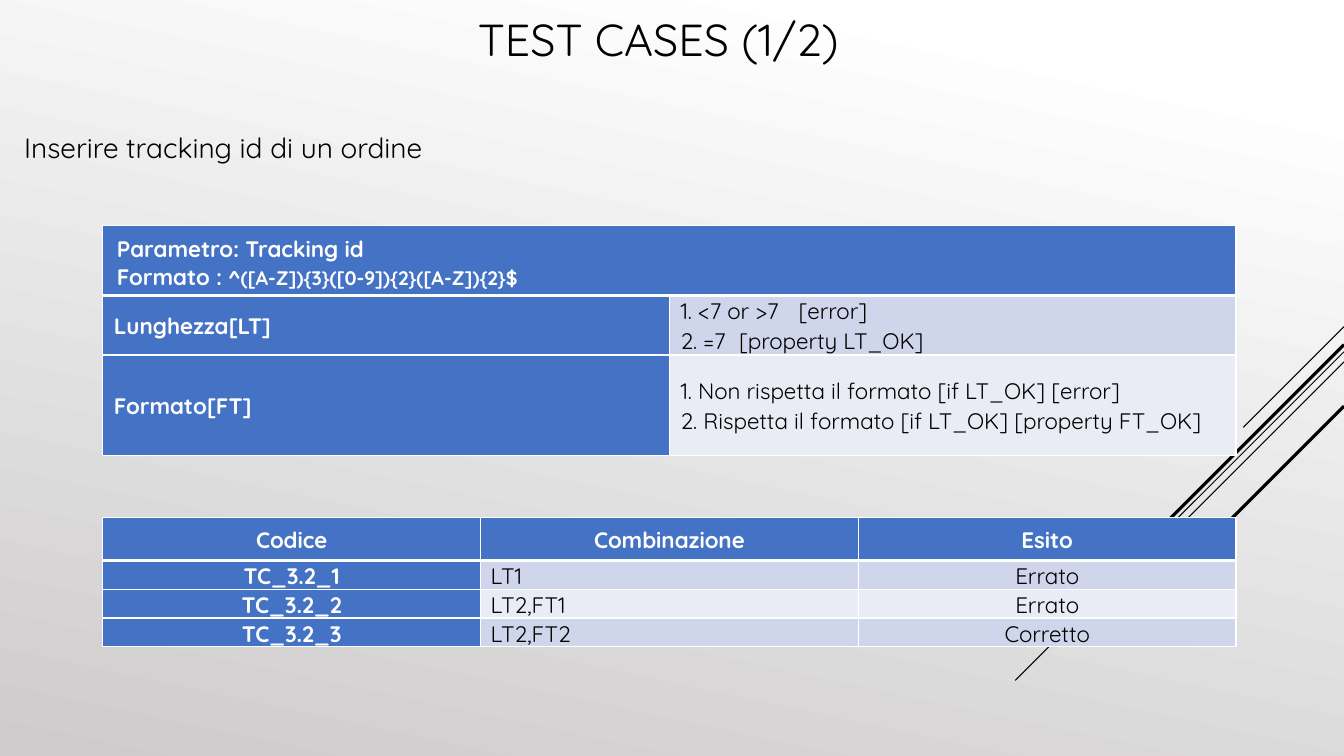
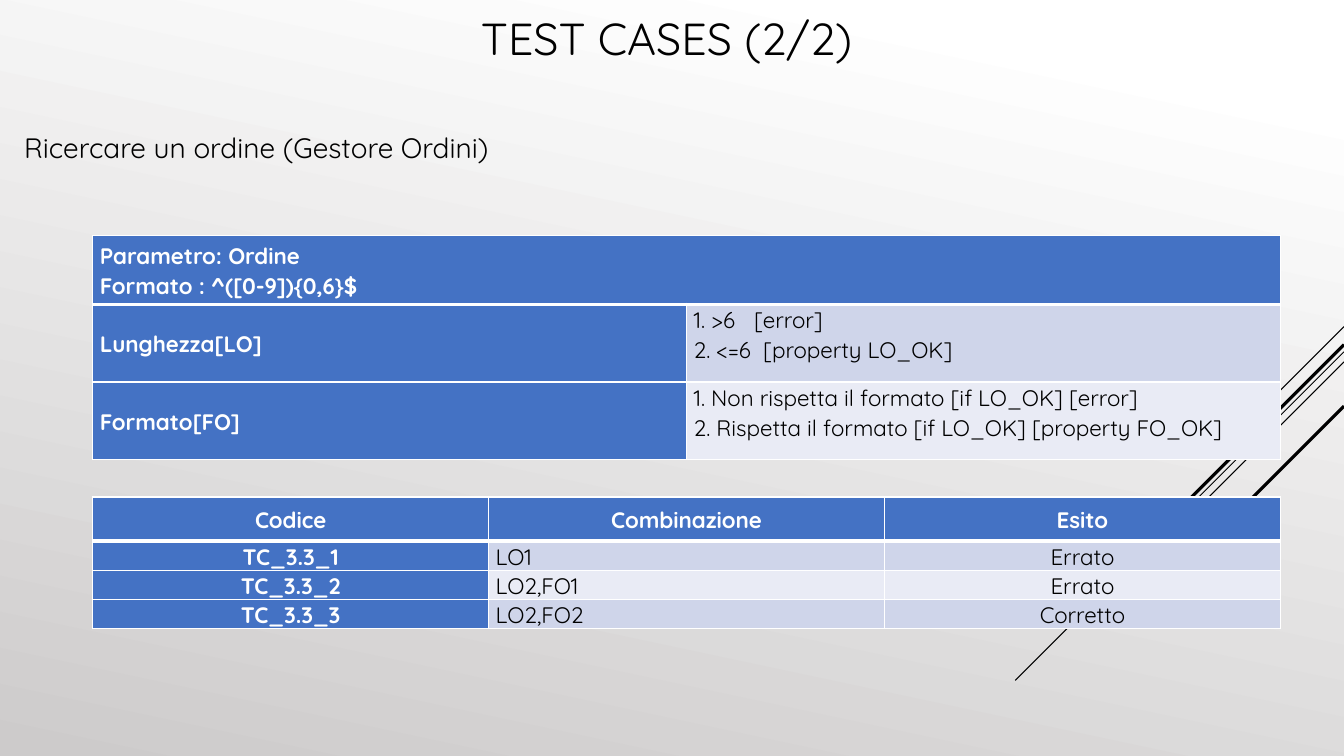
from dataclasses import dataclass

from lxml import etree
from pptx import Presentation
from pptx import util as u
from pptx.dml.color import RGBColor
from pptx.enum import shapes, text
from pptx.oxml import ns

WIDTH, HEIGHT = 13.33, 7.5
FONT = "Quicksand"
BODY_SIZE = 16
COLORS = {
    "ink": "000000",
    "white": "FFFFFF",
    "shade": "CDCBCB",
    "blue": "4472C4",
    "band_dark": "CFD5EA",
    "band_light": "E9EBF5",
}
# Diagonals: distance of the start from the top, length along each axis, points
DIAGONALS = [
    (3.24, 1, 0.75),
    (3.49, 3.26, 0.75),
    (3.59, 2.07, 0.75),
    (3.42, 1.91, 2.25),
    (4.03, 1.39, 2.25),
]
CENTER, LEFT = text.PP_ALIGN.CENTER, text.PP_ALIGN.LEFT
MIDDLE, TOP = text.MSO_ANCHOR.MIDDLE, text.MSO_ANCHOR.TOP


@dataclass
class Line:
    """One paragraph: a tab stop in inches and a smaller tail are optional."""
    text: str
    tab: float = 0
    tail: str = ""
    spacing: float = 1.07


@dataclass
class Frame:
    """Place and cell margins of a table, in inches."""
    left: float
    top: float
    width: float
    rows: list
    margin: float


def rgb(name):
    return RGBColor.from_string(COLORS[name])


def set_font(font, size, color="ink", bold=False):
    font.name, font.size, font.bold = FONT, u.Pt(size), bold
    font.color.rgb = rgb(color)


def add_child(parent, tag, **attributes):
    return etree.SubElement(parent, ns.qn(tag), attributes)


def set_background(master):
    fill = master.background.fill
    fill.gradient()
    fill.gradient_angle = 258
    for stop, color, position in zip(fill.gradient_stops, ("white", "shade"), (0.1, 1)):
        stop.color.rgb = rgb(color)
        stop.position = position


def add_diagonals(slide):
    for top, length, weight in DIAGONALS:
        ends = (WIDTH, top, WIDTH - length, top + length)
        line = slide.shapes.add_connector(
            shapes.MSO_CONNECTOR.STRAIGHT, *map(u.Inches, ends))
        line.line.color.rgb = rgb("ink")
        line.line.width = u.Pt(weight)
        add_child(line.element.spPr, "a:effectLst")


def set_title(slide, title, left, top, height):
    shape = slide.shapes.title
    shape.left, shape.top = u.Inches(left), u.Inches(top)
    shape.width, shape.height = u.Inches(4), u.Inches(height)
    frame = shape.text_frame
    frame.text = title
    frame.auto_size = text.MSO_AUTO_SIZE.NONE
    frame.vertical_anchor = MIDDLE
    paragraph = frame.paragraphs[0]
    paragraph.alignment = LEFT
    set_font(paragraph.font, 32)


def add_subtitle(slide, subtitle, width):
    box = slide.shapes.add_textbox(*map(u.Inches, (0.14, 1.27, width, 0.36)))
    frame = box.text_frame
    frame.word_wrap = True
    frame.auto_size = text.MSO_AUTO_SIZE.SHAPE_TO_FIT_TEXT
    frame.vertical_anchor = MIDDLE
    frame.margin_top, frame.margin_bottom = u.Inches(0.03), 0
    frame.text = subtitle
    set_font(frame.paragraphs[0].font, 20)


def set_borders(cell, is_header, below_header):
    weights = {
        "a:lnL": 1,
        "a:lnR": 1,
        "a:lnT": 3 if below_header else 1,
        "a:lnB": 3 if is_header else 1,
    }
    properties = cell._tc.get_or_add_tcPr()
    for tag, weight in weights.items():
        border = add_child(properties, tag, w=str(u.Pt(weight)))
        add_child(add_child(border, "a:solidFill"), "a:srgbClr", val=COLORS["white"])


def add_table(slide, frame, columns):
    """Add a table with a blue header row and first column, and banded rows."""
    left, top, width, height = map(
        u.Inches, (frame.left, frame.top, frame.width, sum(frame.rows)))
    table = slide.shapes.add_table(
        len(frame.rows), columns, left, top, width, height).table
    for column in table.columns:
        column.width = u.Inches(frame.width / columns)
    for row, height in zip(table.rows, frame.rows):
        row.height = u.Inches(height)
    for row_index, row in enumerate(table.rows):
        for column_index, cell in enumerate(row.cells):
            set_borders(cell, row_index == 0, row_index == 1)
            if row_index == 0 or column_index == 0:
                color = "blue"
            else:
                color = "band_dark" if row_index % 2 else "band_light"
            cell.fill.solid()
            cell.fill.fore_color.rgb = rgb(color)
    return table


def write_cell(cell, lines, margin, heading, align=LEFT, anchor=MIDDLE, margin_y=0):
    cell.margin_left = cell.margin_right = u.Inches(margin)
    cell.margin_top = cell.margin_bottom = u.Inches(margin_y)
    cell.vertical_anchor = anchor
    frame = cell.text_frame
    for index, line in enumerate(lines):
        paragraph = frame.add_paragraph() if index else frame.paragraphs[0]
        if line.tab:
            stops = add_child(paragraph._p.get_or_add_pPr(), "a:tabLst")
            add_child(stops, "a:tab", pos=str(u.Inches(line.tab)), algn="l")
        paragraph.alignment = align
        paragraph.line_spacing = line.spacing
        set_font(paragraph.font, BODY_SIZE, "white" if heading else "ink", heading)
        paragraph.add_run().text = line.text
        if line.tail:
            tail = paragraph.add_run()
            tail.text = line.tail
            tail.font.size = u.Pt(14)


def add_parameter_table(slide, frame, header, choices, header_margins, anchor):
    """Add the table that lists the choices of each category of a parameter."""
    table = add_table(slide, frame, 2)
    table.cell(0, 0).merge(table.cell(0, 1))
    margin, margin_y = header_margins
    write_cell(table.cell(0, 0), header, margin, True, margin_y=margin_y)
    for row, (category, lines) in enumerate(choices, 1):
        write_cell(table.cell(row, 0), [Line(category)], frame.margin, True)
        write_cell(table.cell(row, 1), lines, frame.margin, False, anchor=anchor)


def add_case_table(slide, frame, prefix, combinations):
    table = add_table(slide, frame, 3)
    records = [("Codice", "Combinazione", "Esito")]
    outcomes = ("Errato", "Errato", "Corretto")
    for number, (combination, outcome) in enumerate(zip(combinations, outcomes), 1):
        records.append((f"{prefix}_{number}", combination, outcome))
    for row, record in enumerate(records):
        for column, value in enumerate(record):
            align = LEFT if row and column == 1 else CENTER
            heading = row == 0 or column == 0
            write_cell(table.cell(row, column), [Line(value)], frame.margin,
                       heading, align)


def format_choices(code):
    return [
        Line(f"1. Non rispetta il formato [if {code}_OK] [error]"),
        Line(f"2. Rispetta il formato [if {code}_OK] [property F{code[1]}_OK]"),
    ]


def start_slide(presentation):
    slide = presentation.slides.add_slide(presentation.slide_layouts[5])
    add_diagonals(slide)
    return slide


def build_tracking_slide(presentation):
    slide = start_slide(presentation)
    set_title(slide, "TEST CASES (1/2)", 4.64, 0, 0.77)
    add_subtitle(slide, "Inserire tracking id di un ordine", 4.35)
    header = [
        Line("Parametro: Tracking id"),
        Line("Formato : ", tail="^([A-Z]){3}([0-9]){2}([A-Z]){2}$", spacing=1.0),
    ]
    choices = [
        ("Lunghezza[LT]", [Line("1. <7 or >7\t[error]", 1.17),
                           Line("2. =7\t[property LT_OK]", 0.58)]),
        ("Formato[FT]", format_choices("LT")),
    ]
    add_parameter_table(slide, Frame(1.02, 2.24, 11.24, [0.61, 0.59, 1], 0.11),
                        header, choices, (0.14, 0.07), MIDDLE)
    add_case_table(slide, Frame(1.02, 5.13, 11.24, [0.43] + [0.28] * 3, 0.1),
                   "TC_3.2", ("LT1", "LT2,FT1", "LT2,FT2"))


def build_order_slide(presentation):
    slide = start_slide(presentation)
    set_title(slide, "TEST CASES (2/2)", 4.67, 0.01, 0.72)
    add_subtitle(slide, "Ricercare un ordine (Gestore Ordini)", 5.1)
    header = [Line("Parametro: Ordine"), Line("Formato : ^([0-9]){0,6}$")]
    choices = [
        ("Lunghezza[LO]", [Line("1. >6\t[error]", 0.6),
                           Line("2. <=6\t[property LO_OK]", 0.69)]),
        ("Formato[FO]", format_choices("LO")),
    ]
    add_parameter_table(slide, Frame(0.92, 2.34, 11.78, [0.68, 0.77, 0.77], 0.07),
                        header, choices, (0.07, 0), TOP)
    add_case_table(slide, Frame(0.92, 4.93, 11.78, [0.44] + [0.29] * 3, 0.07),
                   "TC_3.3", ("LO1", "LO2,FO1", "LO2,FO2"))


def main():
    presentation = Presentation()
    presentation.slide_width = u.Inches(WIDTH)
    presentation.slide_height = u.Inches(HEIGHT)
    set_background(presentation.slide_master)
    build_tracking_slide(presentation)
    build_order_slide(presentation)
    presentation.save("out.pptx")


if __name__ == "__main__":
    main()
